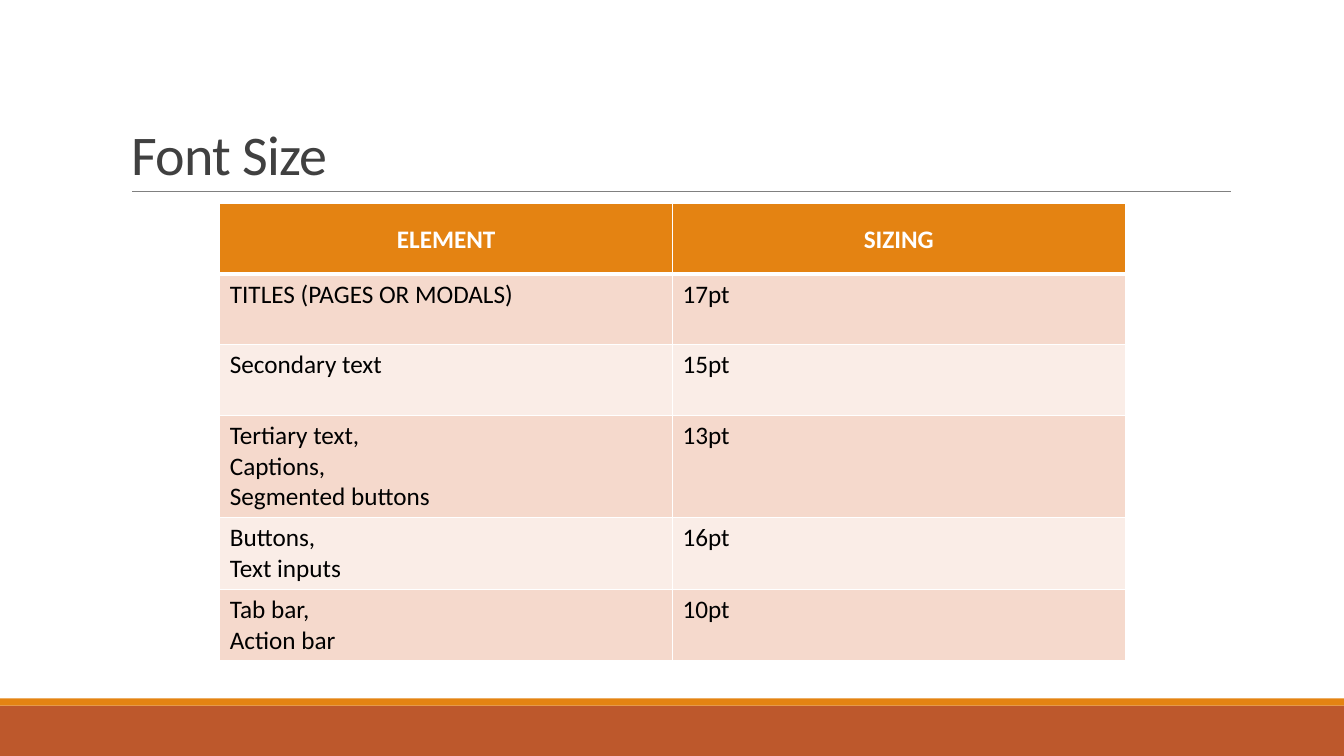
import pptx
import pptx.dml.color
import pptx.enum.shapes
import pptx.enum.text
import pptx.oxml.ns
import pptx.util
from lxml import etree

Inches = pptx.util.Inches
Pt = pptx.util.Pt
qn = pptx.oxml.ns.qn

ORANGE = "E48312"
RUST = "BD582C"
WHITE = "FFFFFF"
BAND_FILLS = ("F5D9CC", "FAEDE7")

HEADINGS = ("ELEMENT", "SIZING")
# A vertical tab is a line break inside the paragraph.
SIZES = (
    ("TITLES (PAGES OR MODALS)", "17pt"),
    ("Secondary text", "15pt"),
    ("Tertiary text,\vCaptions,\vSegmented buttons", "13pt"),
    ("Buttons,\vText inputs", "16pt"),
    ("Tab bar,\vAction bar", "10pt"),
)
ROW_HEIGHTS = (0.7, 0.7, 0.7, 0.93, 0.7, 0.7)


def color(hex_text):
    return pptx.dml.color.RGBColor.from_string(hex_text)


class SlideBuilder:
    """Holds the type style and the slide being filled."""

    font_name = "Calibri"

    def __init__(self, page):
        self.page = page

    def style(self, para, size, hex_text, bold=False):
        font = para.font
        font.name, font.size, font.bold = self.font_name, Pt(size), bold
        font.color.rgb = color(hex_text)

    def bar(self, top, height, fill):
        box = self.page.shapes.add_shape(
            pptx.enum.shapes.MSO_SHAPE.RECTANGLE,
            0, Inches(top), Inches(13.33), Inches(height))
        box.shadow.inherit = False
        box.fill.solid()
        box.fill.fore_color.rgb = color(fill)
        box.line.fill.background()

    def rule(self, left, right, top):
        line = self.page.shapes.add_connector(
            pptx.enum.shapes.MSO_CONNECTOR.STRAIGHT,
            Inches(left), Inches(top), Inches(right), Inches(top))
        line.line.color.rgb = color("808080")
        line.line.width = Pt(0.5)
        properties = line.element.find(qn("p:spPr"))
        etree.SubElement(properties, qn("a:effectLst"))

    def title(self, text):
        box = self.page.shapes.title
        box.left, box.top = Inches(1.2), Inches(0.31)
        box.width, box.height = Inches(11), Inches(1.59)
        frame = box.text_frame
        frame.text = text
        frame.word_wrap = True
        frame.vertical_anchor = pptx.enum.text.MSO_ANCHOR.BOTTOM
        para = frame.paragraphs[0]
        para.alignment = pptx.enum.text.PP_ALIGN.LEFT
        para.line_spacing = 0.85
        self.style(para, 40, "404040")
        for properties in box.element.iter(qn("a:defRPr")):
            properties.set("spc", "-50")

    def borders(self, cell, widths):
        properties = cell.fill._xPr
        for position, (side, width) in enumerate(widths.items()):
            edge = etree.Element(qn("a:ln" + side), w=str(Pt(width)))
            fill = etree.SubElement(edge, qn("a:solidFill"))
            etree.SubElement(fill, qn("a:srgbClr"), val=WHITE)
            properties.insert(position, edge)

    def cell(self, cell, text, fill, heading, top_border):
        cell.text = text
        cell.fill.solid()
        cell.fill.fore_color.rgb = color(fill)
        para = cell.text_frame.paragraphs[0]
        self.style(para, 18, WHITE if heading else "000000", bold=heading)
        if heading:
            para.alignment = pptx.enum.text.PP_ALIGN.CENTER
            para.line_spacing = 1.5
        self.borders(cell, {"L": 1, "R": 1, "T": top_border,
                            "B": 3 if heading else 1})

    def table(self, left, top, column_width, heights, rows):
        columns = len(rows[0])
        grid = self.page.shapes.add_table(
            len(rows), columns, Inches(left), Inches(top),
            Inches(column_width * columns), Inches(sum(heights))).table
        for column in grid.columns:
            column.width = Inches(column_width)
        for index, (height, texts) in enumerate(zip(heights, rows)):
            grid.rows[index].height = Inches(height)
            heading = index == 0
            fill = ORANGE if heading else BAND_FILLS[(index - 1) % 2]
            for column, text in enumerate(texts):
                self.cell(grid.cell(index, column), text, fill, heading,
                          top_border=3 if index == 1 else 1)


def main():
    deck = pptx.Presentation()
    deck.slide_width, deck.slide_height = Inches(13.33), Inches(7.5)
    builder = SlideBuilder(deck.slides.add_slide(deck.slide_layouts[5]))

    # Footer bands and title rule
    builder.bar(7, 0.5, RUST)
    builder.bar(6.93, 0.07, ORANGE)
    builder.rule(1.31, 12.21, 1.9)

    # Title and size table
    builder.title("Font Size")
    builder.table(2.18, 2.02, 4.49, ROW_HEIGHTS, (HEADINGS, *SIZES))

    deck.save("out.pptx")


if __name__ == "__main__":
    main()
